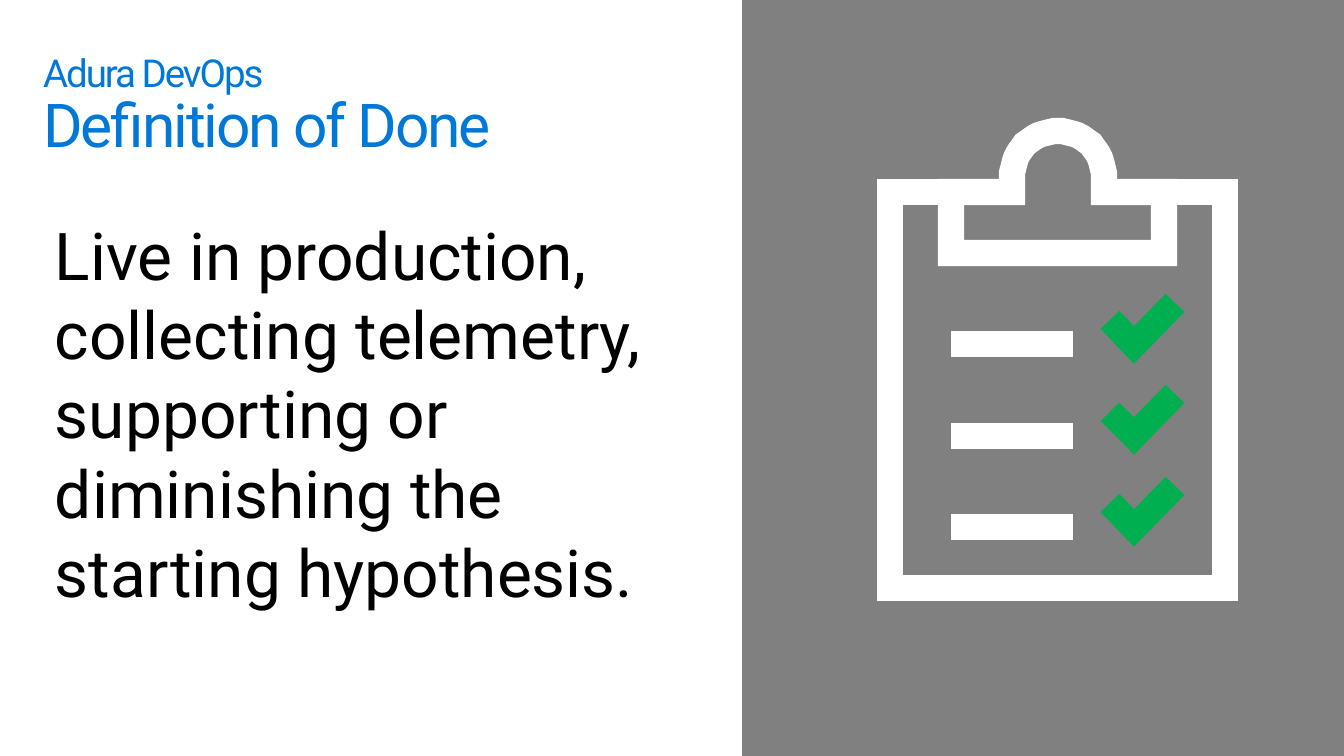
import math
import pptx
import pptx.util
import pptx.dml.color
import pptx.enum.shapes
import pptx.enum.text
import pptx.oxml.ns
from lxml import etree

TITLE = [("Adura DevOps ", "kicker"), ("Definition of Done", "title")]
DEFINITION = [
    "Live in production,",
    "collecting telemetry,",
    "supporting or diminishing the starting hypothesis.",
]

THEME = {
    "font": "Roboto",
    "colors": {"panel": "808080", "title": "0078D7", "body": "000000",
               "clipboard": "FFFFFF", "check": "00B050"},
    "sizes": {"kicker": 20.6, "title": 32.4, "body": 35.3},
    "stroke": 14,
}

# Lengths in px
SLIDE = (1344, 756)
PANEL_LEFT = 742
TITLE_BOX = (43, 30, 673, 82)
TITLE_INSET = 24
BODY_BOX = (55, 215, 629, 399)
BOARD = (890, 192, 1225, 588)
CLIP = (951, 192, 1164, 253)
RING_CENTER, RING_RADIUS = (1058, 177), 46
ITEM_COUNT, ITEM_TOP, ITEM_PITCH = 3, 344, 91.5
ITEM_LINE = (951, 1073)
CHECK = [(1110, -24), (1134, 1), (1175, -41)]
EMU_PER_PX = 914400 / 134.4


def emu(px):
    return pptx.util.Emu(round(px * EMU_PER_PX))


def color(name):
    return pptx.dml.color.RGBColor.from_string(THEME["colors"][name])


def place(shape, box):
    shape.left, shape.top, shape.width, shape.height = map(emu, box)


def write(paragraph, text, size, ink, spacing=None):
    run = paragraph.add_run()
    run.text = text
    run.font.name = THEME["font"]
    run.font.size = pptx.util.Pt(THEME["sizes"][size])
    run.font.color.rgb = color(ink)
    if spacing is not None:
        run.font._element.set("spc", str(round(spacing * 100)))


def prepare_frame(shape, top_inset=0):
    frame = shape.text_frame
    frame.word_wrap = True
    frame.vertical_anchor = pptx.enum.text.MSO_ANCHOR.TOP
    frame.margin_left = frame.margin_right = frame.margin_bottom = 0
    frame.margin_top = emu(top_inset)
    return frame


def stroke_paths(slide, paths, ink):
    """Draw open paths as one unfilled outline with sharp corners."""
    builder = None
    for start, *rest in paths:
        if builder is None:
            builder = slide.shapes.build_freeform(*start, scale=EMU_PER_PX)
        else:
            builder.move_to(*start)
        builder.add_line_segments(rest, close=False)
    shape = builder.convert_to_shape()
    shape.shadow.inherit = False
    shape.fill.background()
    shape.line.color.rgb = color(ink)
    shape.line.width = pptx.util.Pt(THEME["stroke"])
    miter = etree.SubElement(shape.line._get_or_add_ln(), pptx.oxml.ns.qn("a:miter"))
    miter.set("lim", "800000")


def clipboard_paths(item_rows):
    left, top, right, bottom = BOARD
    clip_left, clip_top, clip_right, clip_bottom = CLIP
    center_x, center_y = RING_CENTER
    ring = [(center_x - RING_RADIUS * math.cos(math.radians(angle)),
             center_y - RING_RADIUS * math.sin(math.radians(angle)))
            for angle in range(0, 181, 5)]
    clip = [(center_x - RING_RADIUS, clip_top), *ring,
            (center_x + RING_RADIUS, clip_top), (clip_right, clip_top),
            (clip_right, clip_bottom), (clip_left, clip_bottom),
            (clip_left, clip_top), (center_x - RING_RADIUS, clip_top),
            ring[0]]
    board = [(clip_left, top), (left, top), (left, bottom),
             (right, bottom), (right, top), (clip_right, top)]
    return [clip, board] + [[(x, row) for x in ITEM_LINE] for row in item_rows]


def main():
    deck = pptx.Presentation()
    deck.slide_width, deck.slide_height = map(emu, SLIDE)
    slide = deck.slides.add_slide(deck.slide_layouts[1])

    panel = slide.shapes.add_shape(
        pptx.enum.shapes.MSO_SHAPE.RECTANGLE, emu(PANEL_LEFT), 0,
        emu(SLIDE[0] - PANEL_LEFT), emu(SLIDE[1]))
    panel.shadow.inherit = False
    panel.fill.solid()
    panel.fill.fore_color.rgb = color("panel")
    panel.line.fill.background()

    heading = slide.shapes.title
    place(heading, TITLE_BOX)
    frame = prepare_frame(heading, TITLE_INSET)
    frame.auto_size = pptx.enum.text.MSO_AUTO_SIZE.NONE
    paragraph = frame.paragraphs[0]
    paragraph.alignment = pptx.enum.text.PP_ALIGN.LEFT
    paragraph.line_spacing = 0.9
    for index, (text, size) in enumerate(TITLE):
        if index:
            paragraph.add_line_break()
        write(paragraph, text, size, "title", spacing=-1.1)

    definition = slide.placeholders[1]
    place(definition, BODY_BOX)
    frame = prepare_frame(definition)
    frame.auto_size = pptx.enum.text.MSO_AUTO_SIZE.SHAPE_TO_FIT_TEXT
    for index, text in enumerate(DEFINITION):
        paragraph = frame.add_paragraph() if index else frame.paragraphs[0]
        paragraph.space_before = pptx.util.Pt(0)
        properties = paragraph._p.get_or_add_pPr()
        properties.set("marL", "0")
        properties.set("indent", "0")
        etree.SubElement(properties, pptx.oxml.ns.qn("a:buNone"))
        write(paragraph, text, "body", "body")

    item_rows = [ITEM_TOP + index * ITEM_PITCH for index in range(ITEM_COUNT)]
    stroke_paths(slide, clipboard_paths(item_rows), "clipboard")
    for row in item_rows:
        stroke_paths(slide, [[(x, row + y) for x, y in CHECK]], "check")

    deck.save("out.pptx")


if __name__ == "__main__":
    main()
